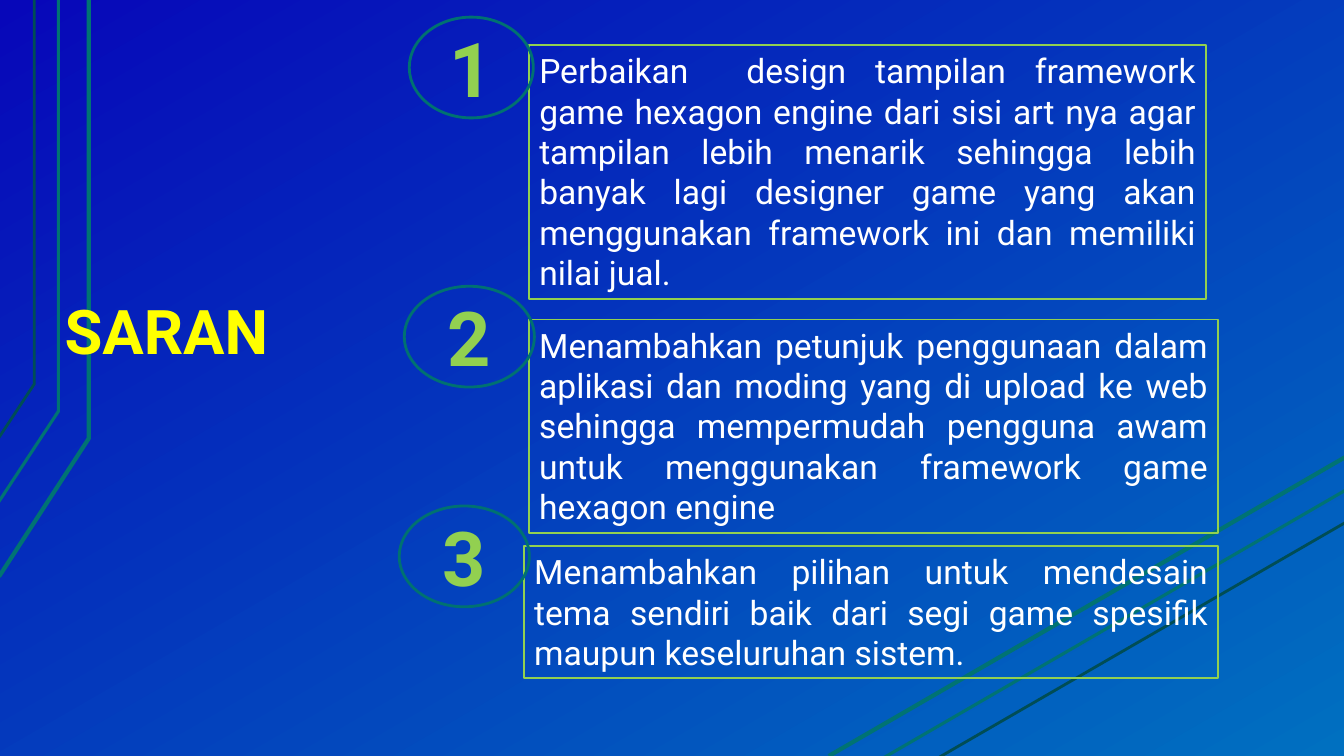
from dataclasses import dataclass

from lxml import etree
from pptx import Presentation
from pptx.dml.color import RGBColor
from pptx.enum.shapes import MSO_CONNECTOR, MSO_SHAPE
from pptx.enum.text import MSO_ANCHOR, MSO_AUTO_SIZE, PP_ALIGN
from pptx.oxml.ns import qn
from pptx.util import Inches, Pt


@dataclass(frozen=True)
class Theme:
    font: str = "Roboto"
    sky_start: str = "0707B9"
    sky_end: str = "0070C0"
    trace: str = "007373"
    trace_dark: str = "004D55"
    ring: str = "007171"
    accent: str = "92D050"
    heading: str = "FFFF00"
    body: str = "FFFFFF"
    heading_size: int = 44
    number_size: int = 54
    body_size: int = 24


THEME = Theme()

# Content
HEADING = "SARAN"
HEADING_AREA = (0.51, 2.55, 2.49, 1.17)
# Text, box area, ring area; rings are numbered in order
SUGGESTIONS = [
    ("Perbaikan  design tampilan framework game hexagon engine dari sisi art "
     "nya agar tampilan lebih menarik sehingga lebih banyak lagi designer game "
     "yang akan menggunakan framework ini dan memiliki nilai jual.",
     (5.25, 0.45, 6.71, 2.52), (4.06, 0.17, 1.23, 1)),
    ("Menambahkan petunjuk penggunaan dalam aplikasi dan moding yang di upload "
     "ke web sehingga mempermudah pengguna awam untuk menggunakan framework "
     "game hexagon engine",
     (5.25, 3.17, 6.83, 2.12), (4.01, 2.84, 1.29, 1)),
    ("Menambahkan pilihan untuk mendesain tema sendiri baik dari segi game "
     "spesifik maupun keseluruhan sistem.",
     (5.2, 5.42, 6.88, 1.31), (3.96, 5.02, 1.29, 1)),
]
# Left trace points, right trace ends, colour, width
TRACES = [
    ([(-0.01, 5.72), (0.88, 4.35), (0.88, 0)],
     [(8.22, 7.5), (13.35, 4.53)], THEME.trace, 3),
    ([(-0.02, 4.99), (0.58, 4.08), (0.58, 0)],
     [(8.76, 7.52), (13.35, 4.86)], THEME.trace, 2.25),
    ([(-0.01, 4.34), (0.34, 3.81), (0.34, 0)],
     [(9.32, 7.51), (13.35, 5.18)], THEME.trace_dark, 2),
]


def inches(values):
    return [Inches(value) for value in values]


def style_line(line, color, width):
    line.color.rgb = RGBColor.from_string(color)
    line.width = Pt(width)


def write(frame, text, size, color, align, bold=False):
    frame.text = text
    frame.word_wrap = True
    paragraph = frame.paragraphs[0]
    paragraph.alignment = align
    font = paragraph.runs[0].font
    font.name, font.size, font.bold = THEME.font, Pt(size), bold
    font.color.rgb = RGBColor.from_string(color)


def add_outline(shapes, kind, area, color, width):
    outline = shapes.add_shape(kind, *inches(area))
    outline.shadow.inherit = False
    outline.fill.background()
    style_line(outline.line, color, width)
    return outline


def add_traces(shapes):
    for bend, ends, color, width in TRACES:
        start, *rest = [inches(point) for point in bend]
        builder = shapes.build_freeform(*start)
        builder.add_line_segments(rest, close=False)
        left_trace = builder.convert_to_shape()
        left_trace.shadow.inherit = False
        left_trace.fill.background()
        style_line(left_trace.line, color, width)

        right_trace = shapes.add_connector(
            MSO_CONNECTOR.STRAIGHT, *inches(ends[0] + ends[1]))
        style_line(right_trace.line, color, width)
        etree.SubElement(right_trace._element.spPr, qn("a:effectLst"))


def add_heading(shapes):
    heading = shapes.title
    shapes._spTree.append(heading._element)  # in front of the traces
    heading.left, heading.top, heading.width, heading.height = inches(HEADING_AREA)
    frame = heading.text_frame
    write(frame, HEADING, THEME.heading_size, THEME.heading, PP_ALIGN.LEFT, True)
    frame.paragraphs[0].line_spacing = 0.9
    frame.vertical_anchor = MSO_ANCHOR.BOTTOM
    frame.margin_left = frame.margin_right = Inches(0.13)
    frame.margin_top = frame.margin_bottom = Inches(0.07)


def add_suggestions(shapes):
    for number, (text, box_area, ring_area) in enumerate(SUGGESTIONS, 1):
        box = add_outline(shapes, MSO_SHAPE.RECTANGLE, box_area, THEME.accent, 1.25)
        write(box.text_frame, text, THEME.body_size, THEME.body, PP_ALIGN.JUSTIFY)
        box.text_frame.vertical_anchor = MSO_ANCHOR.TOP
        box.text_frame.auto_size = MSO_AUTO_SIZE.SHAPE_TO_FIT_TEXT

        ring = add_outline(shapes, MSO_SHAPE.OVAL, ring_area, THEME.ring, 2)
        write(ring.text_frame, str(number), THEME.number_size, THEME.accent,
              PP_ALIGN.CENTER, True)
        ring.text_frame.vertical_anchor = MSO_ANCHOR.MIDDLE


def main():
    deck = Presentation()
    deck.slide_width, deck.slide_height = Inches(13.33), Inches(7.5)
    slide = deck.slides.add_slide(deck.slide_layouts[5])

    # Background
    sky = slide.background.fill
    sky.gradient()
    sky.gradient_angle = 300
    for stop, color in zip(sky.gradient_stops, (THEME.sky_start, THEME.sky_end)):
        stop.color.rgb = RGBColor.from_string(color)

    add_traces(slide.shapes)
    add_heading(slide.shapes)
    add_suggestions(slide.shapes)
    deck.save("out.pptx")


if __name__ == "__main__":
    main()
